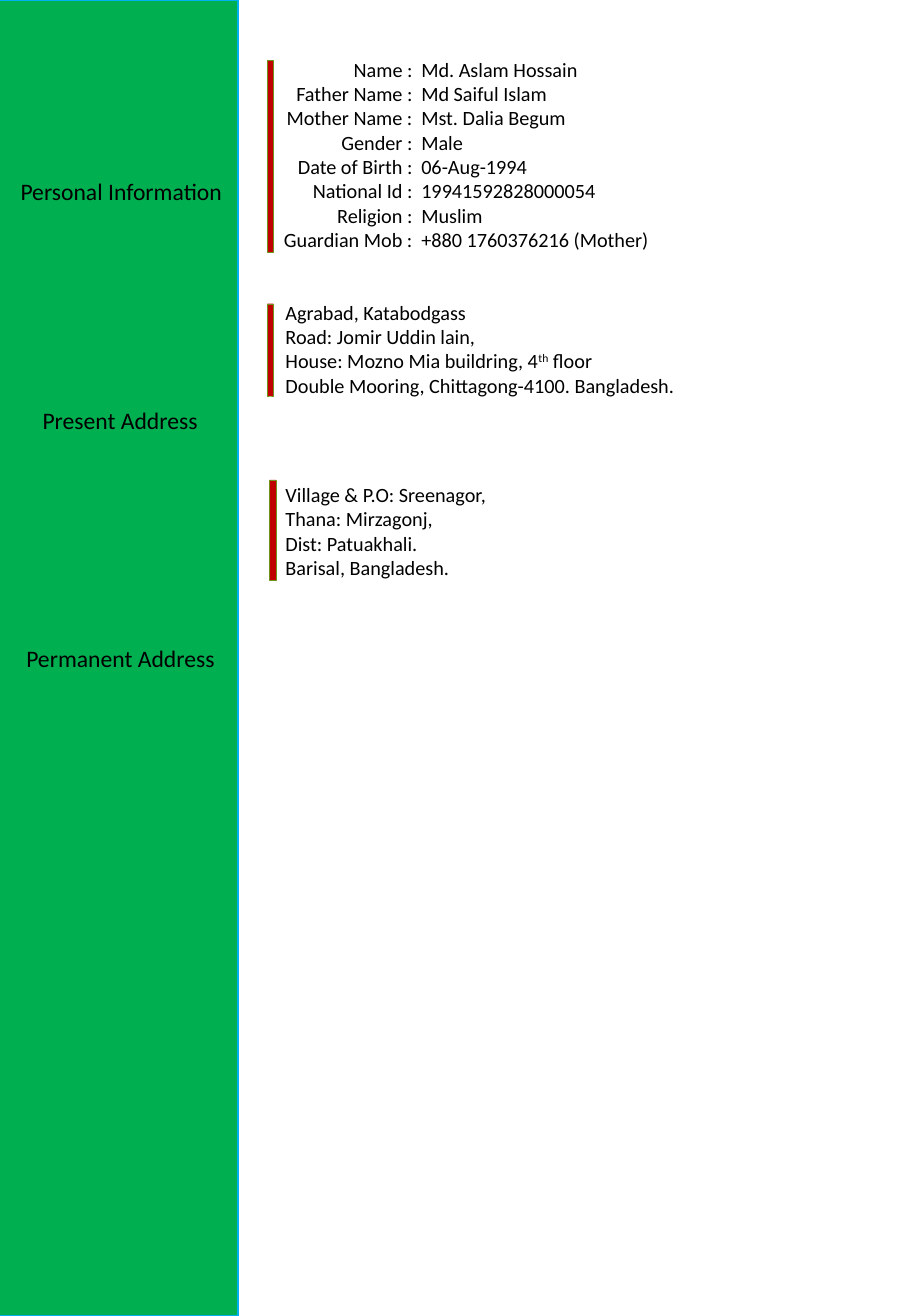
from typing import NamedTuple

from lxml import etree
from pptx import Presentation
from pptx.dml.color import RGBColor
from pptx.enum.shapes import MSO_SHAPE
from pptx.enum.text import MSO_AUTO_SIZE
from pptx.oxml.ns import qn
from pptx.util import Cm, Pt

RECT = MSO_SHAPE.RECTANGLE
GROW = MSO_AUTO_SIZE.SHAPE_TO_FIT_TEXT
FONT = "Calibri"
BLACK, GREEN, CYAN, RED, OLIVE = "000000", "00B050", "00B0F0", "C00000", "70931A"
TAB_STOPS = (("r", 2.72), ("l", 2.9))  # label column, value column


class Box(NamedTuple):
    left: float
    top: float
    width: float
    height: float


class Bar(NamedTuple):
    box: Box
    fill: str
    line: str
    weight: float


class Run(NamedTuple):
    text: str
    superscript: bool = False


class TextBlock(NamedTuple):
    box: Box
    size: int
    lines: list[list[Run]]
    tabbed: bool = False


def color(value: str) -> RGBColor:
    return RGBColor.from_string(value)


def plain(*lines: str) -> list[list[Run]]:
    return [[Run(line)] for line in lines]


def heading(left: float, top: float, width: float, text: str) -> TextBlock:
    return TextBlock(Box(left, top, width, 0.86), 14, plain(text))


def add_bar(s, bar: Bar) -> None:
    sp = s.shapes.add_shape(RECT, *map(Cm, bar.box))
    sp.shadow.inherit = False
    sp.fill.solid()
    sp.fill.fore_color.rgb = color(bar.fill)
    sp.line.color.rgb = color(bar.line)
    sp.line.width = Pt(bar.weight)


def add_tabs(p) -> None:
    tabs = etree.SubElement(p._p.get_or_add_pPr(), qn("a:tabLst"))
    for align, position in TAB_STOPS:
        etree.SubElement(tabs, qn("a:tab"), pos=str(Cm(position)), algn=align)


def add_text(s, block: TextBlock) -> None:
    tf = s.shapes.add_textbox(*map(Cm, block.box)).text_frame
    tf.word_wrap = True
    tf.auto_size = GROW
    for i, line in enumerate(block.lines):
        p = tf.paragraphs[0] if i == 0 else tf.add_paragraph()
        if block.tabbed:
            add_tabs(p)
        for part in line:
            r = p.add_run()
            r.text = part.text
            for name, value in {"name": FONT, "size": Pt(block.size)}.items():
                setattr(r.font, name, value)
            r.font.color.rgb = color(BLACK)
            if part.superscript:
                r._r.get_or_add_rPr().set("baseline", "30000")


PERSONAL = {
    "Name": "Md. Aslam Hossain",
    "Father Name": "Md Saiful Islam",
    "Mother Name": "Mst. Dalia Begum",
    "Gender": "Male",
    "Date of Birth": "06-Aug-1994",
    "National Id": "19941592828000054",
    "Religion": "Muslim",
    "Guardian Mob": "+880 1760376216 (Mother)",
}

# Sidebar, then one red marker beside each section
BARS = [
    Bar(Box(-0.05, 0, 5.03, 27.51), GREEN, CYAN, 1),
    *(Bar(Box(left, top, 0.13, height), RED, OLIVE, 0.25)
      for left, top, height in ((5.59, 1.27, 4.01), (5.59, 6.35, 1.93), (5.64, 10.03, 2.11))),
]

TEXTS = [
    # Sidebar headings
    heading(0.18, 3.58, 4.9, "Personal Information"),
    heading(0.64, 8.36, 4.01, "Present Address"),
    heading(0.3, 13.34, 4.57, "Permanent Address"),
    # Personal details
    TextBlock(Box(5.66, 1.07, 9.58, 4.88), 12,
              plain(*(f"\t{label} :\t{value}" for label, value in PERSONAL.items())), True),
    # Present address
    TextBlock(Box(5.72, 6.15, 9.09, 2.31), 12, [
        *plain("Agrabad, Katabodgass", "Road: Jomir Uddin lain,"),
        [Run("House: Mozno Mia buildring, 4"), Run("th", True), Run(" floor")],
        *plain("Double Mooring, Chittagong-4100. Bangladesh."),
    ]),
    # Permanent address
    TextBlock(Box(5.72, 9.96, 6.15, 2.31), 12, plain(
        "Village & P.O: Sreenagor,", "Thana: Mirzagonj,",
        "Dist: Patuakhali.", "Barisal, Bangladesh.")),
]


def main() -> None:
    prs = Presentation()
    prs.slide_width, prs.slide_height = Cm(19.05), Cm(27.51)
    s = prs.slides.add_slide(prs.slide_layouts[6])
    for bar in BARS:
        add_bar(s, bar)
    for block in TEXTS:
        add_text(s, block)
    prs.save("out.pptx")


if __name__ == "__main__":
    main()
